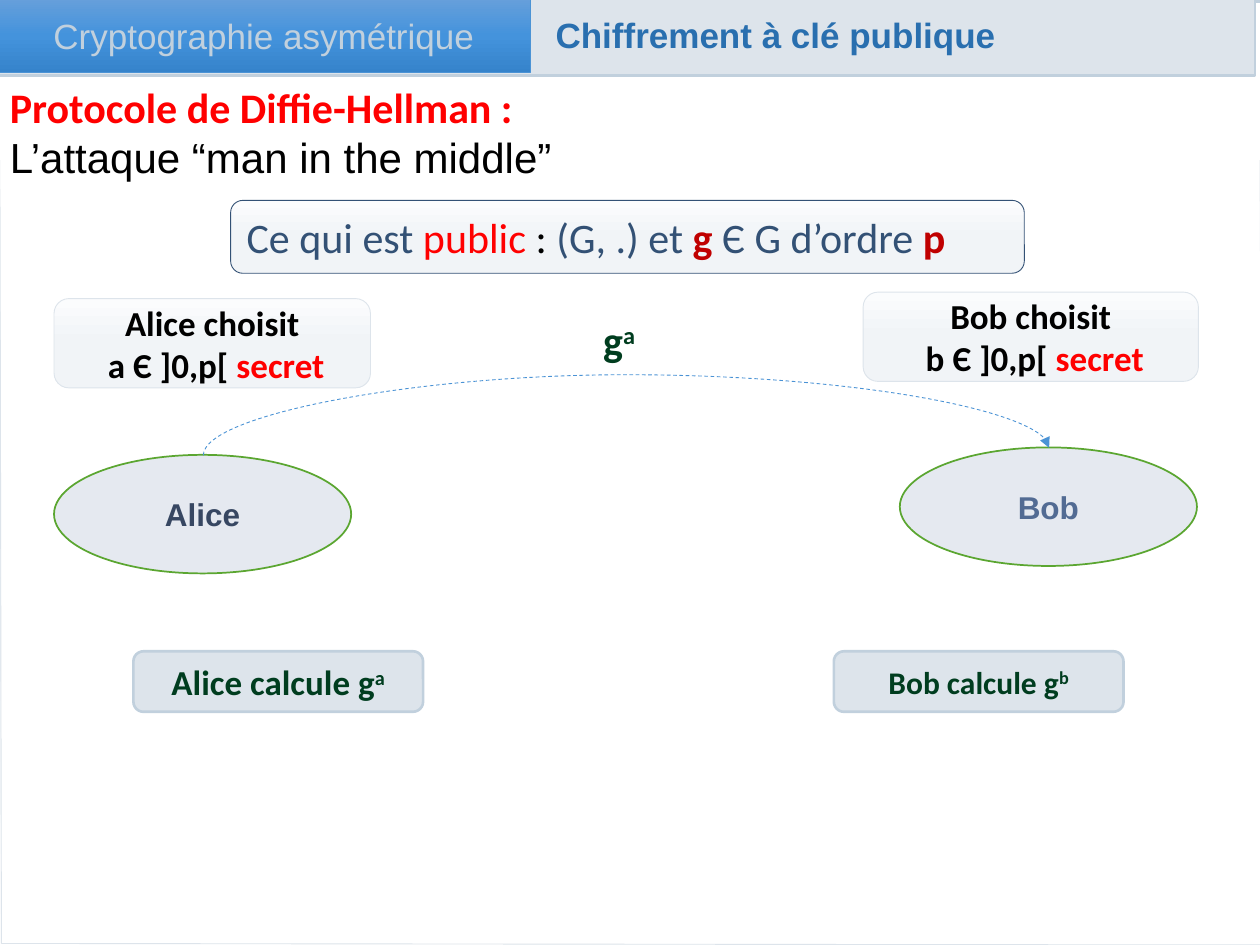
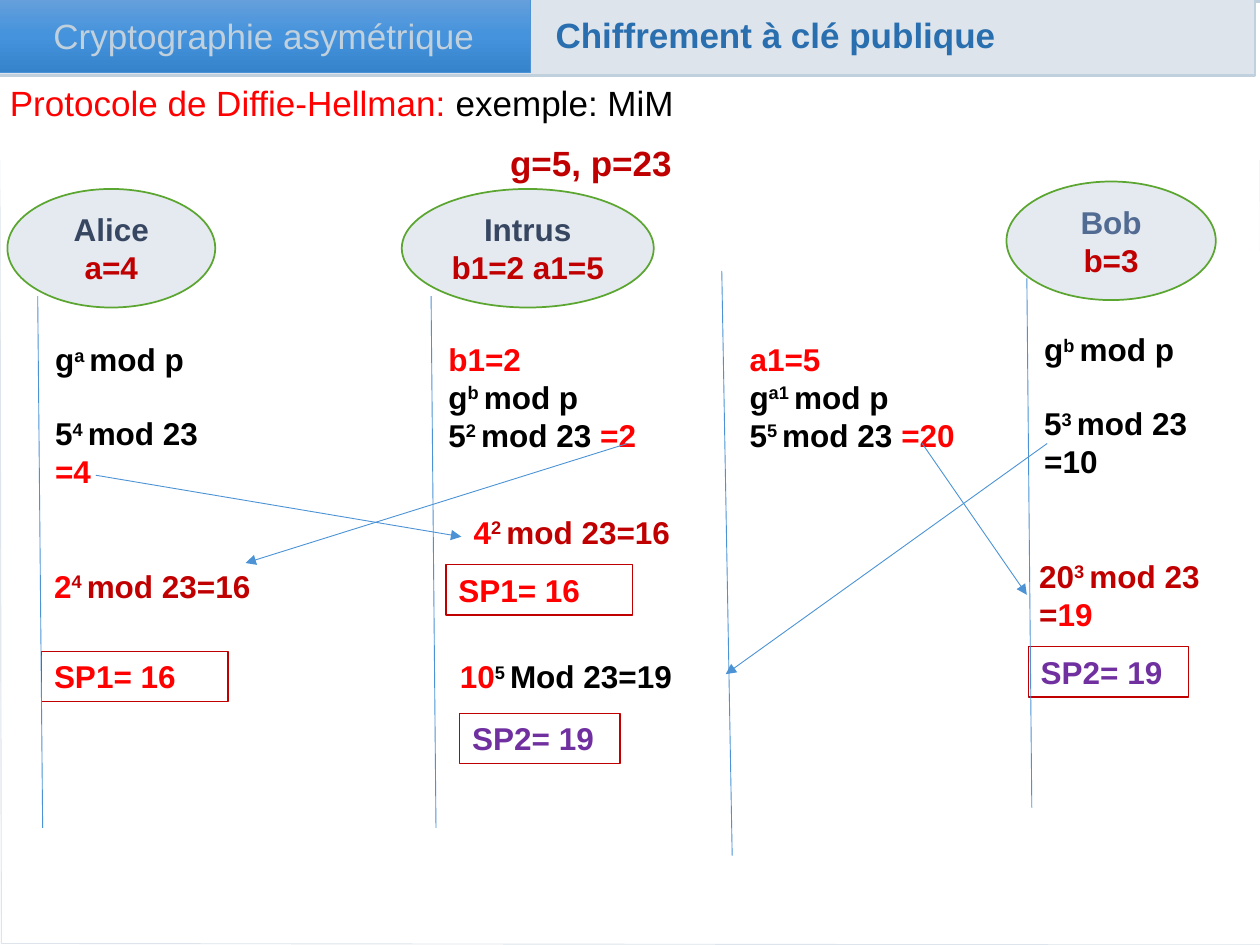
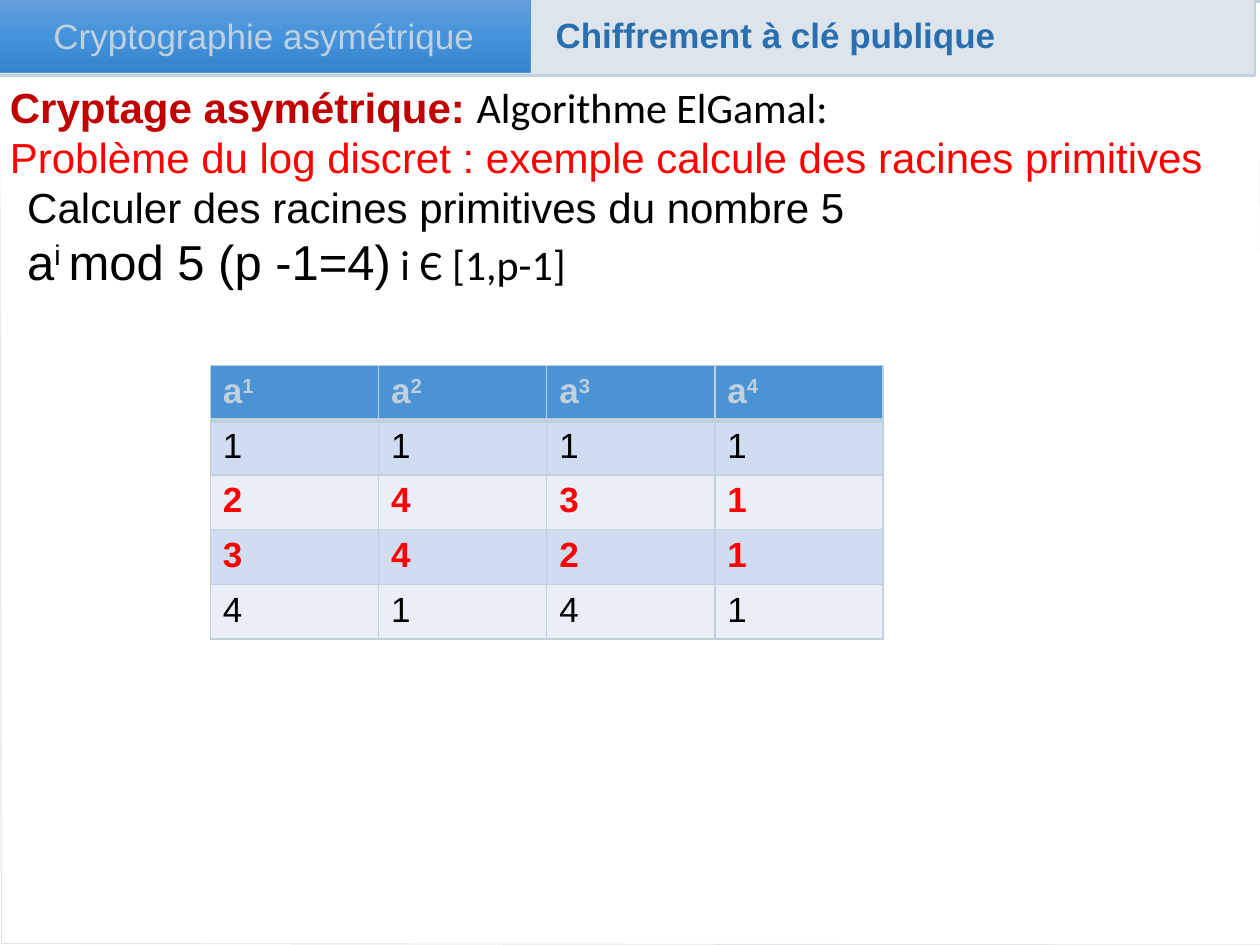
from copy import deepcopy

from lxml import etree
from pptx import Presentation
from pptx.dml.color import RGBColor
from pptx.enum import shapes, text
from pptx.oxml import ns
from pptx.util import Cm, Pt

RED = {"color": "FF0000"}
DARK_RED = {"color": "C00000"}
BLACK = {"color": "000000"}
PURPLE = {"color": "7030A0"}
NAVY = {"color": "374762"}
SLATE = {"color": "526B93"}
STEEL = "4B93D5"
MIST, MIST_EDGE = "DDE4EB", "C1D0DD"
PEARL = ["FBFCFD", "F1F4F7", "EFF2F6"]
LINE_18 = 20.7  # points, one line of 18 pt Arial

# Each kind of box; "font" is the base that runs override.
KINDS = {
    "panel": {"preset": "RECTANGLE", "fill": "FFFFFF", "line": "FFFFFF", "weight": 1},
    "strip": {"preset": "RECTANGLE", "fill": MIST, "line": MIST_EDGE, "weight": 1.5},
    "chapter": {"preset": "RECTANGLE", "fill": ["669FDB", "4493DC", "3583CB"], "line": STEEL,
                "weight": 0.5, "centred": True, "font": {"size": 20, "color": MIST_EDGE}},
    "section": {"font": {"size": 20, "bold": True, "color": "296FAF"}},
    "heading": {"font": {"size": 24}},
    "actor": {"preset": "OVAL", "fill": "E5E9F0", "line": "5BA631", "weight": 1,
              "centred": True, "font": {"bold": True}},
    "public": {"preset": "ROUNDED_RECTANGLE", "fill": PEARL, "line": "335175", "weight": 0.5,
               "font": {"name": "Calibri", "size": 24, "color": "335175"}},
    "choice": {"preset": "ROUNDED_RECTANGLE", "fill": PEARL, "line": MIST, "weight": 0.5,
               "centred": True, "font": {"name": "Calibri", "size": 20, "bold": True}},
    "step": {"preset": "ROUNDED_RECTANGLE", "fill": MIST, "line": MIST_EDGE, "weight": 1.5,
             "centred": True,
             "font": {"name": "Calibri", "size": 20, "bold": True, "color": "003D1F"}},
    "message": {"font": {"name": "Calibri", "size": 24, "bold": True, "color": "003D1F"}},
    "parameters": {"centred": True, "font": {"size": 20, "bold": True, **DARK_RED}},
    "calculation": {"font": {"bold": True}},
    "secret": {"line": "C00000", "weight": 0.75, "font": {"bold": True}},
}

# Boxes: kind, (left, top, width, height) in cm, paragraphs of runs, gaps before paragraphs.
# Text between two ^ is superscript.
HEADER = [
    ("panel", (0, 0.08, 25.4, 3.12), []),
    ("strip", (-0.05, -0.08, 25.35, 1.6), []),
    ("section", (10.95, 0.15, 10.8, 1.12), [["Chiffrement à clé publique"]]),
    ("chapter", (-0.05, -0.03, 10.74, 1.5), [["Cryptographie asymétrique"]]),
]
PAGE = [(0.03, 19.02), (25.48, 19.05), (25.4, 3.07), (0, 3.07)]
VEIL = [(25.35, 1.96), (10.82, 1.93), (10.36, 1.96), (9.6, 2.31), (9.04, 2.44), (0, 2.41),
        (0, 3.81), (15.9, 3.81), (16.21, 3.73), (17.12, 3.33), (17.58, 3.3), (25.37, 3.3)]

ATTACK = [
    ("heading", (-0.05, 1.52, 25.4, 2.31), [
        [("Protocole de Diffie-Hellman :", {"name": "Calibri", "bold": True, **RED})],
        ["L’attaque “man in the middle”"]]),
    ("actor", (1.09, 9.17, 5.99, 2.39), [[("Alice", NAVY)]]),
    ("actor", (18.14, 9.02, 5.99, 2.39), [[("Bob", SLATE)]]),
    ("public", (4.65, 4.04, 16, 1.47), [
        ["Ce qui est ", ("public", RED), (" : ", BLACK), "(G, .) et ",
         ("g ", {"bold": True, **DARK_RED}), "Є G d’ordre ",
         ("p", {"bold": True, **DARK_RED})]]),
    ("choice", (1.09, 6.02, 6.38, 1.8),
     [["Alice choisit"], [" a Є ]0,p[ ", ("secret", RED)]]),
    ("choice", (17.4, 5.89, 6.76, 1.8),
     [["Bob choisit"], [" b Є ]0,p[ ", ("secret", RED)]]),
    ("step", (2.69, 13.13, 5.84, 1.22), [["Alice calcule g^a^"]]),
    ("step", (16.81, 13.13, 5.84, 1.22), [[("Bob calcule g^b^", {"size": 18})]]),
    ("message", (11.91, 6.22, 1.65, 1.27), [["g^a^"]]),
]
# The arc lies on its side: it is drawn upright, then turned by 90 degrees.
ARC = ((12.7, 17.63), (12.55, 0.58))
ARC_TURN, ARC_BULGE = 90, 10.83

EXAMPLE = [
    ("heading", (-0.05, 1.52, 25.4, 1.12),
     [[("Protocole de Diffie-Hellman: ", {"size": 20, **RED}), ("exemple: MiM", {"size": 20})]]),
    ("actor", (0.15, 3.81, 4.19, 2.39), [[("Alice", NAVY)], [("a=4", DARK_RED)]]),
    ("actor", (20.29, 3.66, 4.22, 2.39), [[("Bob", SLATE)], [("b=3", DARK_RED)]]),
    ("actor", (8.1, 3.81, 5.08, 2.39), [[("Intrus", NAVY)], [("b1=2 a1=5", DARK_RED)]]),
    ("parameters", (8.51, 2.72, 6.81, 1.12), [["g=5, p=23"]]),
    ("calculation", (0.86, 6.73, 4.09, 4.11),
     [["g^a ^mod p"], ["5^4 ^mod 23"], [("=4", RED)]], {1: LINE_18}),
    ("calculation", (20.8, 6.53, 4.55, 3.33),
     [["g^b ^mod p"], ["5^3 ^mod 23"], ["=10"]], {1: LINE_18}),
    ("calculation", (8.79, 6.73, 5.03, 3.33),
     [[("b1=2", RED)], ["g^b ^mod p"], ["5^2 ^mod 23 ", ("=2", RED)]]),
    ("calculation", (14.86, 6.73, 5.03, 3.33),
     [[("a1=5", RED)], ["g^a1 ^mod p"], ["5^5 ^mod 23 ", ("=20", RED)]]),
    ("calculation", (0.84, 11.3, 5.26, 1.02), [[("2", RED), ("^4 ^mod 23=16", DARK_RED)]]),
    ("calculation", (9.3, 10.21, 4.8, 1.02), [[("4", RED), ("^2 ^mod 23=16", DARK_RED)]]),
    ("calculation", (20.7, 11.1, 4.65, 1.8), [[("20^3 ^mod 23 =", DARK_RED), ("19", RED)]]),
    ("calculation", (9.02, 13.13, 5.08, 1.02), [[("10", RED), "^5 ^Mod 23=19"]]),
    ("secret", (0.84, 13.13, 3.76, 1.02), [[("SP1= 16", RED)]]),
    ("secret", (8.99, 11.38, 3.76, 1.02), [[("SP1= 16", RED)]]),
    ("secret", (20.73, 13.03, 3.23, 1.02), [[("SP2= 19", PURPLE)]]),
    ("secret", (9.27, 14.38, 3.23, 1.02), [[("SP2= 19", PURPLE)]]),
]
LIFELINES = [((0.76, 5.97), (0.86, 16.69)), ((8.69, 5.97), (8.79, 16.69)),
             ((14.55, 5.46), (14.76, 17.25)), ((20.7, 5.61), (20.8, 16.28))]
EXCHANGES = [((1.93, 9.58), (9.3, 10.82)), ((12.65, 8.94), (4.95, 11.35)),
             ((18.59, 8.94), (20.7, 11.99)), ((21.11, 8.94), (14.63, 13.59))]

ROOTS = [
    ("heading", (-0.05, 1.52, 25.4, 2.31), [
        [("Cryptage asymétrique: ", {"bold": True, **DARK_RED}),
         ("Algorithme ElGamal:", {"name": "Calibri"})],
        [("Problème du log discret : exemple calcule des racines primitives", RED)]]),
    ("heading", (0.3, 3.53, 24.79, 3.68), [
        ["Calculer des racines primitives du nombre 5"],
        [("a^i ^mod 5 (p -1=4)", {"size": 28}), (" i Є [1,p-1]", {"name": "Calibri"})]]),
]
MODULUS = 5
POWERS_AT, COLUMN, ROW = (4.24, 7.37), 3.39, 1.1


def rgb(value):
    return RGBColor.from_string(value)


def paint(fill, colour):
    """Solid for one colour, evenly spaced top-to-bottom gradient for a list."""
    if isinstance(colour, str):
        fill.solid()
        fill.fore_color.rgb = rgb(colour)
        return
    fill.gradient()
    fill.gradient_angle = 270
    first = fill.gradient_stops[0]._gs
    for _ in colour[2:]:
        first.addnext(deepcopy(first))
    for i, (stop, shade) in enumerate(zip(fill.gradient_stops, colour)):
        stop.color.rgb = rgb(shade)
        stop.position = i / (len(colour) - 1)


def outline(line, colour, weight):
    line.color.rgb = rgb(colour)
    line.width = Pt(weight)


def write(paragraph, runs, base):
    for run in runs:
        words, changes = (run, {}) if isinstance(run, str) else run
        style = {"name": "Arial", "size": 18, "bold": False, **BLACK, **base, **changes}
        for i, part in enumerate(words.split("^")):
            if not part:
                continue
            piece = paragraph.add_run()
            piece.text = part
            piece.font.color.rgb = rgb(style["color"])
            for key in ("name", "bold"):
                setattr(piece.font, key, style[key])
            piece.font.size = Pt(style["size"])
            if i % 2:
                piece._r.get_or_add_rPr().set("baseline", "30000")


def add_box(slide, kind, frame, paragraphs, gaps=None):
    look = KINDS[kind]
    place = [Cm(v) for v in frame]
    if "preset" in look:
        box = slide.shapes.add_shape(getattr(shapes.MSO_SHAPE, look["preset"]), *place)
        box.shadow.inherit = False
        paint(box.fill, look["fill"])
    else:
        box = slide.shapes.add_textbox(*place)
    if "line" in look:
        outline(box.line, look["line"], look["weight"])
    body = box.text_frame
    body.word_wrap = True
    for i, runs in enumerate(paragraphs):
        paragraph = body.add_paragraph() if i else body.paragraphs[0]
        paragraph.alignment = text.PP_ALIGN.CENTER if look.get("centred") else text.PP_ALIGN.LEFT
        if gaps and i in gaps:
            paragraph.space_before = Pt(gaps[i])
        write(paragraph, runs, look["font"])


def add_outline_shape(slide, points):
    builder = slide.shapes.build_freeform(*[Cm(v) for v in points[0]])
    builder.add_line_segments([(Cm(x), Cm(y)) for x, y in points[1:]])
    shape = builder.convert_to_shape()
    shape.shadow.inherit = False
    paint(shape.fill, "FFFFFF")
    return shape


def add_line(slide, ends, kind="STRAIGHT", arrow=False):
    line = slide.shapes.add_connector(getattr(shapes.MSO_CONNECTOR, kind),
                                      *[Cm(v) for end in ends for v in end])
    outline(line.line, STEEL, 0.5)
    properties = line._element.spPr
    if arrow:
        etree.SubElement(properties.find(ns.qn("a:ln")), ns.qn("a:tailEnd"), type="triangle")
    etree.SubElement(properties, ns.qn("a:effectLst"))
    return line


def add_arc(slide):
    arc = add_line(slide, ARC, "CURVE")
    arc.line.dash_style = 4  # dash
    properties = arc._element.spPr
    etree.SubElement(properties.find(ns.qn("a:ln")), ns.qn("a:tailEnd"), type="triangle")
    properties.find(ns.qn("a:xfrm")).set("rot", str(ARC_TURN * 60000))
    geometry = properties.find(ns.qn("a:prstGeom"))
    guides = geometry.find(ns.qn("a:avLst"))
    if guides is None:
        guides = etree.SubElement(geometry, ns.qn("a:avLst"))
    etree.SubElement(guides, ns.qn("a:gd"), name="adj1", fmla=f"val {round(ARC_BULGE * 100000)}")


def border(cell, bottom):
    for side in "LRTB":
        width = Pt(bottom if side == "B" else 1)
        edge = etree.SubElement(cell._tc.get_or_add_tcPr(), ns.qn(f"a:ln{side}"), w=str(width))
        solid = etree.SubElement(edge, ns.qn("a:solidFill"))
        etree.SubElement(solid, ns.qn("a:srgbClr"), val=MIST_EDGE)


def add_powers(slide):
    """Table of a^i mod p; the rows of primitive roots stand out."""
    exponents = range(1, MODULUS)
    left, top = POWERS_AT
    table = slide.shapes.add_table(
        MODULUS, MODULUS - 1, Cm(left), Cm(top),
        Cm(COLUMN * (MODULUS - 1)), Cm(ROW * MODULUS)).table
    rows = [[f"a^{i}^" for i in exponents]]
    rows += [[str(a ** i % MODULUS) for i in exponents] for a in exponents]
    for r, row in enumerate(rows):
        table.rows[r].height = Cm(ROW)
        if r == 0:
            fill, style = STEEL, {"bold": True, "color": MIST_EDGE}
        else:
            fill = "D0DCEF" if r % 2 else "E9EEF7"
            style = {"bold": True, **RED} if len(set(row)) == len(row) else {}
        for c, value in enumerate(row):
            cell = table.cell(r, c)
            border(cell, 1 if r else 3)
            paint(cell.fill, fill)
            write(cell.text_frame.paragraphs[0], [value], {"size": 20, **style})


def add_page(deck, boxes):
    slide = deck.slides.add_slide(deck.slide_layouts[6])
    paint(slide.background.fill, [MIST_EDGE, "FFFFFF"])
    outline(add_outline_shape(slide, PAGE).line, MIST, 0.5)
    veil = add_outline_shape(slide, VEIL)
    veil.line.fill.background()
    tint = veil._element.spPr.find(f"{ns.qn('a:solidFill')}/{ns.qn('a:srgbClr')}")
    etree.SubElement(tint, ns.qn("a:alpha"), val="50000")
    for box in HEADER + boxes:
        add_box(slide, *box)
    return slide


def main():
    deck = Presentation()
    deck.slide_width, deck.slide_height = Cm(25.4), Cm(19.05)
    add_arc(add_page(deck, ATTACK))
    example = add_page(deck, EXAMPLE)
    for ends in LIFELINES:
        add_line(example, ends)
    for ends in EXCHANGES:
        add_line(example, ends, arrow=True)
    add_powers(add_page(deck, ROOTS))
    deck.save("out.pptx")


if __name__ == "__main__":
    main()
